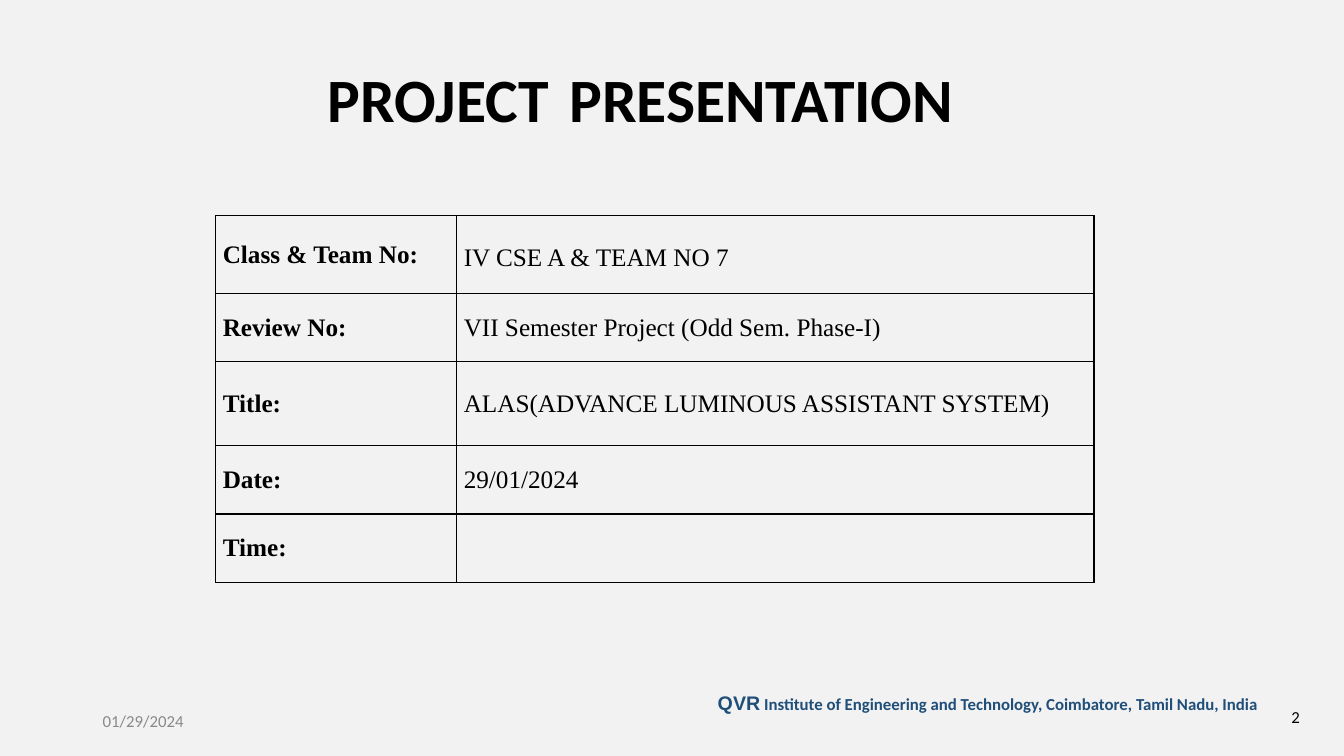
from lxml.etree import SubElement
from pptx import Presentation
from pptx.dml.color import RGBColor
from pptx.enum.text import MSO_ANCHOR, PP_ALIGN
from pptx.oxml.ns import qn
from pptx.util import Inches, Pt

BLACK = "000000"
NAVY = "1F4E79"
GREY = "898989"


def color(value):
    return RGBColor.from_string(value)


class SlideBuilder:
    body_font = "Calibri"
    table_font = "Times New Roman"

    def __init__(self, page, background):
        self.page = page
        page.background.fill.solid()
        page.background.fill.fore_color.rgb = color(background)

    def style(self, span, size, ink=BLACK, bold=False, font=body_font):
        span.font.size = Pt(size)
        span.font.name = font
        span.font.bold = bold
        span.font.color.rgb = color(ink)

    def text(self, left, top, width, height, spans, align=PP_ALIGN.LEFT):
        """Add one line made of (text, style options) spans."""
        box = self.page.shapes.add_textbox(
            Inches(left), Inches(top), Inches(width), Inches(height))
        frame = box.text_frame
        frame.word_wrap = True
        frame.vertical_anchor = MSO_ANCHOR.MIDDLE
        para = frame.paragraphs[0]
        para.alignment = align
        for words, options in spans:
            span = para.add_run()
            span.text = words
            self.style(span, **options)
        return box

    def border(self, cell):
        properties = cell._tc.get_or_add_tcPr()
        for position, side in enumerate(("a:lnL", "a:lnR", "a:lnT", "a:lnB")):
            line = SubElement(properties, qn(side), w=str(Pt(1)))
            fill = SubElement(line, qn("a:solidFill"))
            SubElement(fill, qn("a:srgbClr"), val=BLACK)
            properties.insert(position, line)

    def table(self, left, top, widths, heights, rows):
        frame = self.page.shapes.add_table(
            len(rows), len(widths), Inches(left), Inches(top),
            Inches(sum(widths)), Inches(sum(heights)))
        table = frame.table
        table.first_row = table.horz_banding = False
        for column, width in zip(table.columns, widths):
            column.width = Inches(width)
        for row, height, values in zip(table.rows, heights, rows):
            row.height = Inches(height)
            for index, (cell, value) in enumerate(zip(row.cells, values)):
                cell.fill.background()
                cell.vertical_anchor = MSO_ANCHOR.MIDDLE
                cell.margin_left = cell.margin_right = Inches(0.07)
                cell.margin_top = cell.margin_bottom = 0
                cell.text_frame.text = value
                for span in cell.text_frame.paragraphs[0].runs:
                    self.style(span, 18, bold=index == 0, font=self.table_font)
                self.border(cell)
        return table


def main():
    deck = Presentation()
    deck.slide_width, deck.slide_height = Inches(13.33), Inches(7.5)
    builder = SlideBuilder(deck.slides.add_slide(deck.slide_layouts[6]), "F2F2F2")

    # Institute footer, raised to the top of its box
    footer = builder.text(7.02, 6.85, 5.98, 0.4, [
        ("QVR", dict(size=14, ink=NAVY, bold=True, font="Arial")),
        (" Institute of Engineering and Technology, Coimbatore, Tamil Nadu, India",
         dict(size=12, ink=NAVY, bold=True)),
    ])
    footer.text_frame.vertical_anchor = MSO_ANCHOR.TOP
    footer.text_frame.margin_top = 0

    # Page number and date
    builder.text(7.32, 6.91, 5.67, 0.4, [("2", dict(size=12))], PP_ALIGN.RIGHT)
    builder.text(0.92, 6.95, 3, 0.4, [("01/29/2024", dict(size=12, ink=GREY))])

    # Title, with a widened word gap
    heading = dict(size=44, bold=True)
    title = builder.text(0.91, 0.39, 10.89, 1.16, [
        ("PROJECT", heading), (" ", heading), ("PRESENTATION", heading),
    ], PP_ALIGN.CENTER)
    gap = title.text_frame.paragraphs[0].runs[1]
    gap._r.get_or_add_rPr().set("spc", "450")

    # Project details
    details = builder.table(
        2.14, 2.14, [2.39, 6.32], [0.77, 0.68, 0.83, 0.68, 0.68], [
            ("Class & Team No:", "IV CSE A & TEAM NO 7"),
            ("Review No:", "VII Semester Project (Odd Sem. Phase-I)"),
            ("Title:", "ALAS(ADVANCE LUMINOUS ASSISTANT SYSTEM)"),
            ("Date:", "29/01/2024"),
            ("Time:", ""),
        ])
    details.cell(0, 1).margin_top = Inches(0.07)

    deck.save("out.pptx")


if __name__ == "__main__":
    main()
